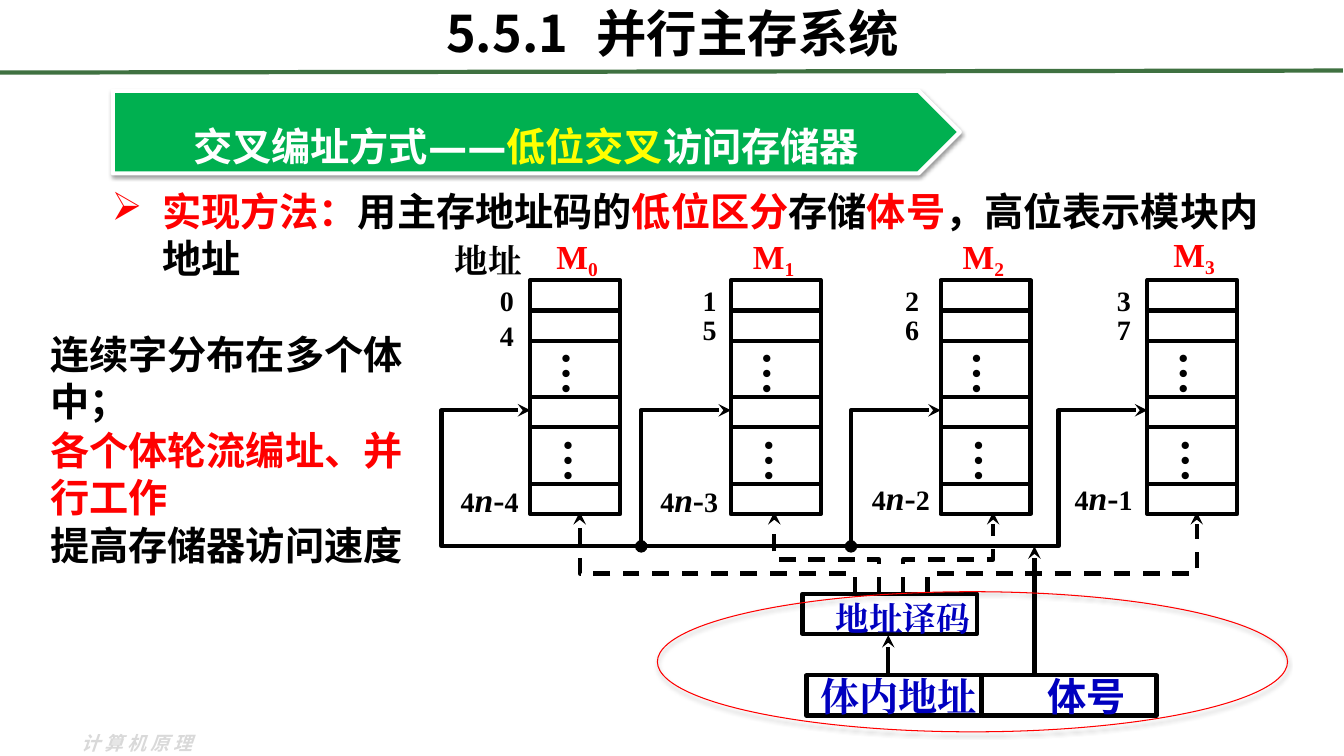
from itertools import accumulate

from lxml import etree
from pptx import Presentation
from pptx.dml.color import RGBColor
from pptx.enum.dml import MSO_LINE
from pptx.enum.shapes import MSO_CONNECTOR, MSO_SHAPE
from pptx.enum.text import MSO_ANCHOR, PP_ALIGN
from pptx.oxml.ns import qn
from pptx.util import Pt

PX = 9144  # 100 px to the inch
RECT, PENTAGON, ELLIPSE = MSO_SHAPE.RECTANGLE, MSO_SHAPE.PENTAGON, MSO_SHAPE.OVAL
STRAIGHT, DASH = MSO_CONNECTOR.STRAIGHT, MSO_LINE.DASH
TOP, MIDDLE = MSO_ANCHOR.TOP, MSO_ANCHOR.MIDDLE
LEFT, CENTER = PP_ALIGN.LEFT, PP_ALIGN.CENTER

COLORS = {
    "black": "000000", "white": "FFFFFF", "red": "FF0000", "yellow": "FFFF00",
    "green": "00B050", "rule": "3F7141", "blue": "0000BF", "grey": "D9D9D9",
}
SERIF, SANS_SC, SANS_JP = "Times New Roman", "Noto Sans CJK SC", "Noto Sans CJK JP"
BANNER_FONT = "DejaVu Sans"

ROW_HEIGHTS = (30, 30, 56, 30, 56, 30)
BANK_TOP, BANK_WIDTH = 278, 89
BANK_BOTTOM = BANK_TOP + sum(ROW_HEIGHTS)
PORT_Y, BUS_Y = 407, 542
# left edge, name (left, top), number left, second number top, last address (left, top)
BANKS = [
    (526, (542, 229), 486, 311, (447, 470)),
    (725, (737, 229), 687, 305, (645, 470)),
    (933, (945, 229), 888, 305, (855, 468)),
    (1138, (1154, 227), 1098, 305, (1056, 468)),
]


def color(name):
    return RGBColor.from_string(COLORS[name])


def px(*lengths):
    return [length * PX for length in lengths]


def write(frame, paragraphs, size, font=SERIF, tint="black", align=LEFT, **layout):
    """Each paragraph is a list of (text, format overrides)."""
    for number, runs in enumerate(paragraphs):
        paragraph = frame.paragraphs[0] if number == 0 else frame.add_paragraph()
        for name, value in {"alignment": align, "space_before": Pt(1), **layout}.items():
            setattr(paragraph, name, value)
        for text, overrides in runs:
            look = {"size": size, "tint": tint, "italic": False, **overrides}
            run = paragraph.add_run()
            run.text = text
            values = {"name": font, "size": Pt(look["size"]), "bold": True,
                      "italic": look["italic"]}
            for name, value in values.items():
                setattr(run.font, name, value)
            run.font.color.rgb = color(look["tint"])
            properties = run._r.get_or_add_rPr()
            etree.SubElement(properties, qn("a:ea")).set("typeface", font)
            for name in ("baseline", "spc"):
                if name in look:
                    properties.set(name, str(look[name]))


def text_box(slide, box, paragraphs, size, wrap=True, **look):
    label = slide.shapes.add_textbox(*px(*box))
    label.text_frame.word_wrap = wrap
    write(label.text_frame, paragraphs, size, **look)
    return label


def outline(shape, tint="black", width=3):
    shape.line.color.rgb = color(tint)
    shape.line.width = Pt(width)


def add_ends(shape, head=None, tail=None):
    line = shape.line._get_or_add_ln()
    for tag, kind in (("a:headEnd", head), ("a:tailEnd", tail)):
        if kind:
            etree.SubElement(line, qn(tag)).set("type", kind)


def preset(slide, kind, box, fill=None, line="black", width=3, shadow=None):
    shape = slide.shapes.add_shape(kind, *px(*box))
    if fill:
        shape.fill.solid()
        shape.fill.fore_color.rgb = color(fill)
    else:
        shape.fill.background()
    outline(shape, line, width)
    shape.shadow.inherit = False
    if shadow:
        opacity, blur, distance = shadow
        effects = shape._element.spPr.find(qn("a:effectLst"))
        outer = etree.SubElement(effects, qn("a:outerShdw"), blurRad=str(Pt(blur)),
                                 dist=str(Pt(distance)), dir="5400000", rotWithShape="0")
        black = etree.SubElement(outer, qn("a:srgbClr"), val=COLORS["black"])
        etree.SubElement(black, qn("a:alpha"), val=str(opacity * 1000))
    return shape


def straight(slide, start, end, tint="black", tail=None):
    line = slide.shapes.add_connector(STRAIGHT, *px(*start, *end))
    outline(line, tint)
    add_ends(line, tail=tail)
    etree.SubElement(line._element.spPr, qn("a:effectLst"))


def wire(slide, points, head=None, dashed=False):
    builder = slide.shapes.build_freeform(*points[0], scale=PX)
    builder.add_line_segments(points[1:], close=False)
    path = builder.convert_to_shape()
    path.fill.background()
    outline(path)
    if dashed:
        path.line.dash_style = DASH
    path.shadow.inherit = False
    add_ends(path, head, "stealth")


def heading(slide, box):
    title = slide.shapes.title
    for name, value in zip(("left", "top", "width", "height"), px(*box)):
        setattr(title, name, value)
    title.text_frame.vertical_anchor = TOP
    write(title.text_frame, [[("5.5.1", {}), (" ", {"spc": 1200}), ("并行主存系统", {})]],
          36, SANS_SC, align=CENTER)
    straight(slide, (0, 72), (1332, 70), "rule")


def banner(slide, box):
    arrow = preset(slide, PENTAGON, box, "green", "white", shadow=(38, 3.1, 1.6))
    arrow.text_frame.vertical_anchor = MIDDLE
    write(arrow.text_frame, [[("交叉编址方式——", {}), ("低位交叉", {"tint": "yellow"}),
                              ("访问存储器", {})]],
          28, BANNER_FONT, "white", CENTER, line_spacing=1.6)


def method(slide, box):
    red = {"tint": "red"}
    label = text_box(slide, box, [[
        ("实现方法：", red), ("用主存地址码的", {}), ("低位区分", red), ("存储", {}),
        ("体号", red), ("，高位表示模块内地址", {})]], 28, font=SANS_SC, space_before=Pt(3))
    properties = label.text_frame.paragraphs[0]._p.get_or_add_pPr()
    properties.set("marL", str(50 * PX))
    properties.set("indent", str(-50 * PX))
    etree.SubElement(properties, qn("a:buChar")).set("char", "➢")


def bank(slide, index, left, name_at, number_left, second_top, last_at):
    text_box(slide, (*name_at, 63, 51), [[("M", {}), (str(index), {"baseline": -20000})]],
             24, False, tint="red")
    for number, top in ((index, 276), (index + 4, second_top)):
        text_box(slide, (number_left, top, 34, 44), [[(str(number), {})]], 20, False)
    # Memory cells
    tops = accumulate(ROW_HEIGHTS[:-1], initial=BANK_TOP)
    for top, height in zip(tops, ROW_HEIGHTS):
        preset(slide, RECT, (left, top, BANK_WIDTH, height))
    for dx, top in ((8, 339), (10, 425)):
        dots = text_box(slide, (left + dx, top, 74, 60), [[("…", {})]], 32)
        dots.text_frame._txBody.bodyPr.set("vert", "eaVert")
    text_box(slide, (*last_at, 78, 51), [[
        ("4", {}), ("n", {"size": 24, "italic": True}), ("-", {"size": 24}),
        (str(4 - index), {})]], 20, False)


def bus(slide):
    first, *inner, last = [left for left, *_ in BANKS]
    wire(slide, [(first, PORT_Y), (first - 88, PORT_Y), (first - 88, BUS_Y),
                 (last - 88, BUS_Y), (last - 88, PORT_Y), (last, PORT_Y)], "stealth")
    for left in inner:
        wire(slide, [(left - 89, BUS_Y), (left - 89, PORT_Y), (left, PORT_Y)], "oval")


def decoder(slide, left, top):
    preset(slide, RECT, (left, top, 173, 40))
    text_box(slide, (left + 23, top - 1, 155, 51), [[("地址译码", {})]], 24, False, tint="blue")
    # Address register: offset field and bank number field
    register = top + 81
    for field_left in (left + 4, left + 178):
        preset(slide, RECT, (field_left, register, 173, 40))
    text_box(slide, (left + 8, register - 8, 177, 57), [[("体内地址", {})]], 28, False,
             tint="blue")
    text_box(slide, (left + 233, register - 8, 110, 57), [[("体号", {})]], 28,
             font=SANS_JP, tint="blue")
    # Select lines to the banks
    for number, (bend, target) in enumerate(((569, 575), (555, 768), (555, 985), (569, 1187))):
        start = left + 52 + 24 * number
        wire(slide, [(start, top), (start, bend), (target, bend), (target, BANK_BOTTOM - 2)],
             dashed=True)
    straight(slide, (left + 230, register), (left + 230, BUS_Y), tail="stealth")
    straight(slide, (left + 85, register), (left + 85, top + 41), tail="stealth")


def benefits(slide, box):
    text_box(slide, box, [[("连续字分布在多个体中；", {})],
                          [("各个体轮流编址、并行工作", {"tint": "red"})],
                          [("提高存储器访问速度", {})]], 28, font=SANS_JP)


def main():
    deck = Presentation()
    deck.slide_width, deck.slide_height = px(1333, 750)
    slide = deck.slides.add_slide(deck.slide_layouts[5])
    # Course name at the foot
    text_box(slide, (71, 721, 146, 34), [[("计算机原理", {"italic": True, "spc": 300})]],
             13.5, font=SANS_SC, tint="grey")
    heading(slide, (67, -3, 1200, 85))
    banner(slide, (112, 90, 840, 82))
    method(slide, (101, 181, 1183, 141))
    # Interleaved memory diagram
    text_box(slide, (441, 233, 87, 51), [[("地址", {})]], 24, False)
    for index, places in enumerate(BANKS):
        bank(slide, index, *places)
    bus(slide)
    decoder(slide, 796, 589)
    benefits(slide, (40, 323, 383, 300))
    # Ring around the address parts
    preset(slide, ELLIPSE, (652, 587, 625, 139), None, "red", 0.75, (35, 3.1, 1.8))
    deck.save("out.pptx")


if __name__ == "__main__":
    main()
